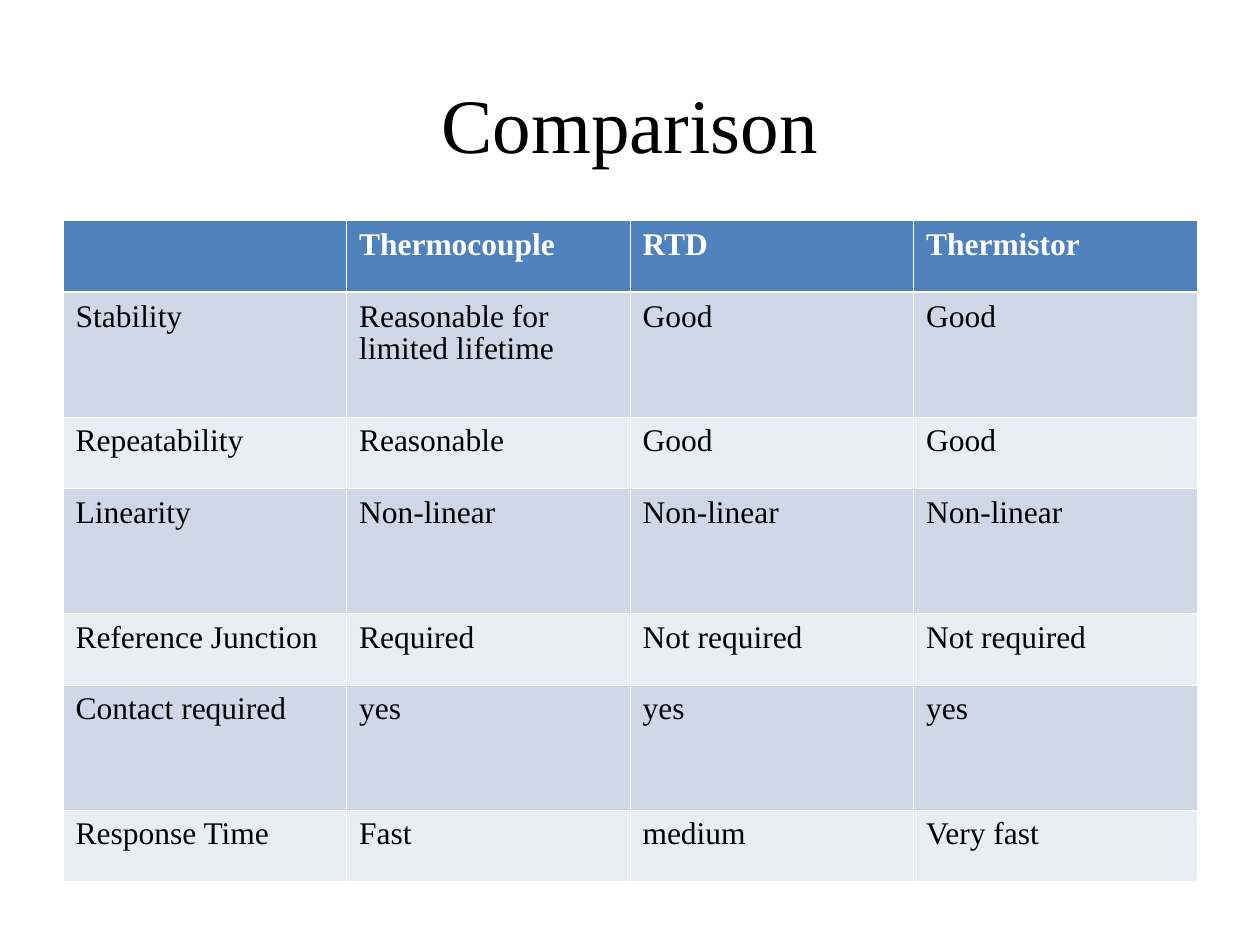
from typing import NamedTuple

from pptx import Presentation
from pptx.dml.color import RGBColor
from pptx.enum.text import MSO_ANCHOR, PP_ALIGN
from pptx.oxml.xmlchemy import OxmlElement
from pptx.util import Inches, Pt

FONT = "Times New Roman"
THIN, THICK = 0.45, 1.47


class Row(NamedTuple):
    height: float
    fill: str
    texts: tuple[str, ...]


SHORT, TALL = 0.57, 0.99
HEAD, DARK, LIGHT = "4F81BD", "D0D8E8", "E9EDF4"
ROWS = [
    Row(SHORT, HEAD, ("", "Thermocouple", "RTD", "Thermistor")),
    Row(TALL, DARK, ("Stability", "Reasonable for limited lifetime", "Good", "Good")),
    Row(SHORT, LIGHT, ("Repeatability", "Reasonable", "Good", "Good")),
    Row(TALL, DARK, ("Linearity", "Non-linear", "Non-linear", "Non-linear")),
    Row(SHORT, LIGHT, ("Reference Junction", "Required", "Not required", "Not required")),
    Row(TALL, DARK, ("Contact required", "yes", "yes", "yes")),
    Row(SHORT, LIGHT, ("Response Time", "Fast", "medium", "Very fast")),
]


def rgb(color: str) -> RGBColor:
    return RGBColor.from_string(color)


def style(p, size: float, color: str, bold: bool = False) -> None:
    p.font.name = FONT
    p.font.size = Pt(size)
    p.font.bold = bold
    p.font.color.rgb = rgb(color)


def set_borders(cell, widths: dict[str, float], color: str) -> None:
    tcPr = cell._tc.get_or_add_tcPr()
    for i, (side, width) in enumerate(widths.items()):
        ln = OxmlElement(f"a:ln{side}")
        ln.set("w", str(Pt(width)))
        fill = OxmlElement("a:solidFill")
        clr = OxmlElement("a:srgbClr")
        clr.set("val", color)
        fill.append(clr)
        ln.append(fill)
        tcPr.insert(i, ln)


def draw_cell(cell, text: str, fill: str, top: float, bottom: float) -> None:
    header = fill == HEAD
    cell.fill.solid()
    cell.fill.fore_color.rgb = rgb(fill)
    cell.margin_top = Inches(0.07)
    cell.text = text
    p = cell.text_frame.paragraphs[0]
    p.line_spacing = 0.93
    style(p, 18, "FFFFFF" if header else "000000", header)
    set_borders(cell, {"L": THIN, "R": THIN, "T": top, "B": bottom}, "FFFFFF")


def draw_title(s, text: str) -> None:
    title = s.shapes.title
    title.left, title.top = Inches(0.5), Inches(0.3)
    title.width, title.height = Inches(9), Inches(1.25)
    tf = title.text_frame
    tf.text = text
    tf.margin_top = Inches(0.15)
    tf.vertical_anchor = MSO_ANCHOR.MIDDLE
    p = tf.paragraphs[0]
    p.alignment = PP_ALIGN.CENTER
    style(p, 44, "000000")


def draw_table(s, rows: list[Row]) -> None:
    height = sum(row.height for row in rows)
    columns = len(rows[0].texts)
    table = s.shapes.add_table(
        len(rows), columns, Inches(0.5), Inches(1.75), Inches(9), Inches(height)
    ).table
    for i, row in enumerate(rows):
        table.rows[i].height = Inches(row.height)
        top = THICK if i == 1 else THIN
        bottom = THICK if i == 0 else THIN
        for j, text in enumerate(row.texts):
            draw_cell(table.cell(i, j), text, row.fill, top, bottom)


def main() -> None:
    prs = Presentation()
    prs.slide_width, prs.slide_height = Inches(10), Inches(7.5)
    s = prs.slides.add_slide(prs.slide_layouts[5])
    draw_title(s, "Comparison")
    draw_table(s, ROWS)
    prs.save("out.pptx")


if __name__ == "__main__":
    main()
